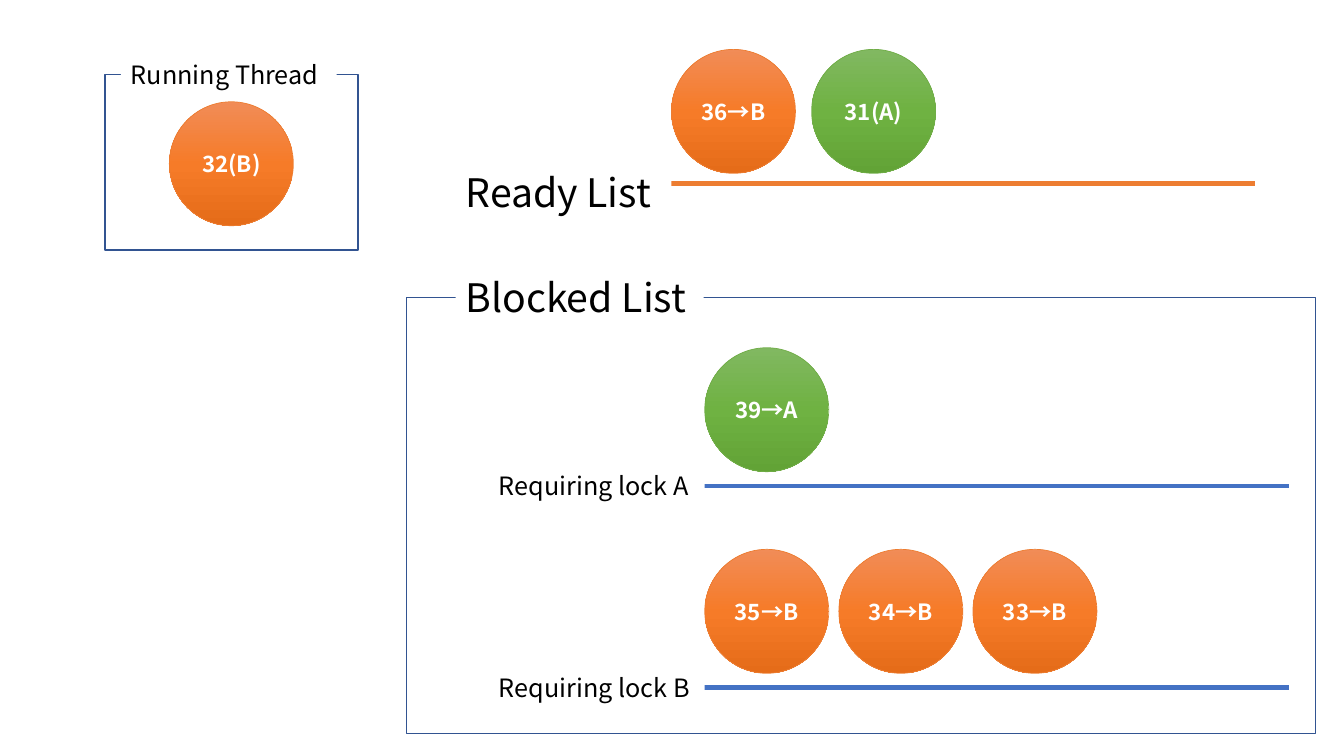
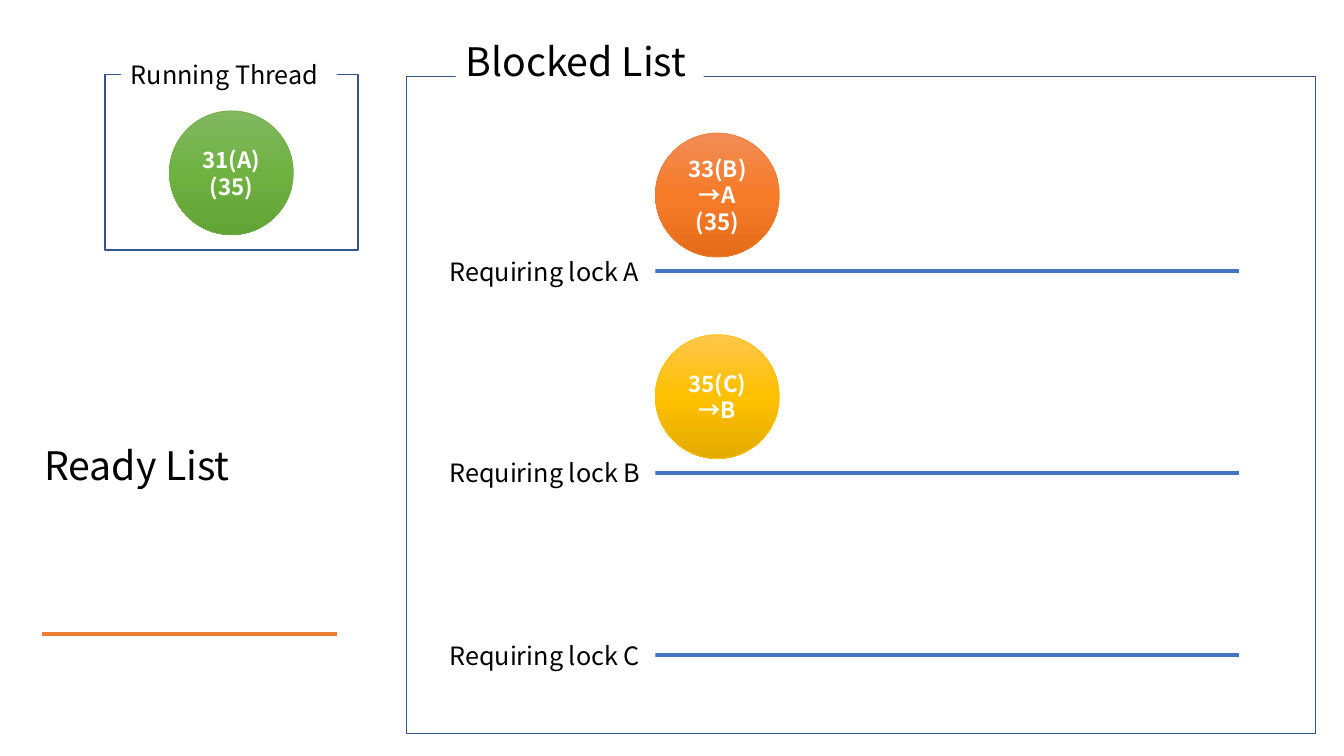
from copy import deepcopy

from pptx import Presentation
from pptx.dml.color import RGBColor
from pptx.enum.shapes import MSO_CONNECTOR, MSO_SHAPE
from pptx.enum.text import MSO_ANCHOR, PP_ALIGN
from pptx.oxml.ns import qn
from pptx.util import Inches, Pt
from lxml.etree import SubElement

FONT = "Noto Sans CJK KR"
WHITE = RGBColor(0xFF, 0xFF, 0xFF)
BLACK = RGBColor(0x00, 0x00, 0x00)
FRAME = RGBColor(0x32, 0x54, 0x91)
BLUE = RGBColor(0x44, 0x72, 0xC4)
ORANGE = RGBColor(0xED, 0x7D, 0x31)
GREEN = RGBColor(0x70, 0xAD, 0x47)
YELLOW = RGBColor(0xFF, 0xC0, 0x00)

# Top, middle and bottom shade of each thread colour
SHADES = {
    ORANGE: (RGBColor(0xF1, 0x8C, 0x57), RGBColor(0xF6, 0x7B, 0x28), RGBColor(0xE5, 0x6C, 0x19)),
    GREEN: (RGBColor(0x81, 0xB8, 0x61), RGBColor(0x6F, 0xB2, 0x42), RGBColor(0x62, 0xA3, 0x36)),
    YELLOW: (RGBColor(0xFF, 0xC6, 0x4B), RGBColor(0xFF, 0xC0, 0x00), RGBColor(0xE3, 0xAB, 0x00)),
}

THREAD_SIZE = 1.23
LABEL_WIDTH = 2.14
LABEL_HEIGHT = 0.4
HEADING_HEIGHT = 0.57
LABEL_POINTS = 18
HEADING_POINTS = 28
QUEUE_LENGTH = 7


def write(shape, text, size=LABEL_POINTS, color=BLACK, bold=False,
          align=PP_ALIGN.LEFT, anchor=MSO_ANCHOR.TOP):
    """Put text into a shape, one paragraph per line."""
    frame = shape.text_frame
    frame.word_wrap = True
    frame.vertical_anchor = anchor
    for index, line in enumerate(text.split("\n")):
        para = frame.paragraphs[0] if index == 0 else frame.add_paragraph()
        para.alignment = align
        para.line_spacing = Pt(1.2 * size)
        span = para.add_run()
        span.text = line
        span.font.name = FONT
        span.font.size = Pt(size)
        span.font.bold = bold
        span.font.color.rgb = color


def add_box(page, kind, left, top, width, height):
    """Add a preset shape without a shadow."""
    box = page.shapes.add_shape(kind, Inches(left), Inches(top), Inches(width), Inches(height))
    box.shadow.inherit = False
    return box


def add_label(page, text, left, top, width=LABEL_WIDTH, height=LABEL_HEIGHT, size=LABEL_POINTS):
    """Add a white label that hides the line behind it."""
    label = add_box(page, MSO_SHAPE.RECTANGLE, left, top, width, height)
    label.fill.solid()
    label.fill.fore_color.rgb = WHITE
    label.line.fill.background()
    write(label, text, size=size)


def add_frame(page, left, top, width, height):
    """Add an outlined, unfilled frame."""
    frame = add_box(page, MSO_SHAPE.RECTANGLE, left, top, width, height)
    frame.fill.background()
    frame.line.color.rgb = FRAME
    frame.line.width = Pt(1)


def add_rail(page, left, top, length, color):
    """Add the horizontal line on which a list of threads stands."""
    rail = page.shapes.add_connector(
        MSO_CONNECTOR.STRAIGHT, Inches(left), Inches(top), Inches(left + length), Inches(top))
    rail.line.color.rgb = color
    rail.line.width = Pt(3)
    SubElement(rail._element.spPr, qn("a:effectLst"))


def add_thread(page, text, color, left, top):
    """Add a shaded circle for one thread."""
    thread = add_box(page, MSO_SHAPE.OVAL, left, top, THREAD_SIZE, THREAD_SIZE)
    thread.fill.gradient()
    thread.fill.gradient_angle = 270
    stop_list = thread._element.spPr.find(qn("a:gradFill")).find(qn("a:gsLst"))
    stop_list.insert(1, deepcopy(stop_list[0]))
    for stop, shade, position in zip(thread.fill.gradient_stops, SHADES[color], (0, 0.5, 1)):
        stop.color.rgb = shade
        stop.position = position
    thread.line.color.rgb = color
    thread.line.width = Pt(0.5)
    write(thread, text, size=16, color=WHITE, bold=True,
          align=PP_ALIGN.CENTER, anchor=MSO_ANCHOR.MIDDLE)


def add_queue(page, label, left, rail_top, threads=(), color=BLUE,
              height=LABEL_HEIGHT, size=LABEL_POINTS, pitch=1.33, lift=1.37):
    """Add a labelled rail with its threads in a row above it."""
    add_rail(page, left + 0.93, rail_top, QUEUE_LENGTH, color)
    add_label(page, label, left, rail_top - 0.2, height=height, size=size)
    for index, (text, thread_color) in enumerate(threads):
        add_thread(page, text, thread_color, left + LABEL_WIDTH + index * pitch, rail_top - lift)


def add_running(page, text, color, top):
    """Add the running-thread frame with its thread."""
    add_frame(page, 1.04, 0.74, 2.51, 1.74)
    add_label(page, "Running Thread", 1.2, 0.54)
    add_thread(page, text, color, 1.68, top)


def add_blocked(page, top, label_top, label_height, left, queues):
    """Add the blocked-list frame with one queue per lock."""
    add_frame(page, 4.03, top, 9.02, 7.28 - top)
    add_label(page, "Blocked List", 4.52, label_top, 2.46, label_height, HEADING_POINTS)
    for lock, rail_top, threads in queues:
        add_queue(page, f"Requiring lock {lock}", left, rail_top, threads)


def build_ready_page(page):
    """Build the slide with two ready threads and two lock queues."""
    add_running(page, "32(B)", ORANGE, 1.01)
    add_queue(page, "Ready List", 4.52, 1.82, [("36→B", ORANGE), ("31(A)", GREEN)],
              color=ORANGE, height=HEADING_HEIGHT, size=HEADING_POINTS, pitch=1.39, lift=1.33)
    add_blocked(page, 2.95, 2.66, HEADING_HEIGHT, 4.85, [
        ("A", 4.82, [("39→A", GREEN)]),
        ("B", 6.82, [("35→B", ORANGE), ("34→B", ORANGE), ("33→B", ORANGE)]),
    ])


def build_donation_page(page):
    """Build the slide with an empty ready list and three lock queues."""
    add_running(page, "31(A)\n(35)", GREEN, 1.1)
    add_blocked(page, 0.76, 0.32, 0.86, 4.36, [
        ("A", 2.69, [("33(B)\n→A\n(35)", ORANGE)]),
        ("B", 4.69, [("35(C)\n→B", YELLOW)]),
        ("C", 6.5, []),
    ])
    add_rail(page, 0.42, 6.29, 2.92, ORANGE)
    add_label(page, "Ready List", 0.34, 4.33, 2.05, HEADING_HEIGHT, HEADING_POINTS)


def main():
    """Build and save the deck."""
    deck = Presentation()
    deck.slide_width = Inches(13.33)
    deck.slide_height = Inches(7.5)
    for build in (build_ready_page, build_donation_page):
        build(deck.slides.add_slide(deck.slide_layouts[6]))
    deck.save("out.pptx")


main()
